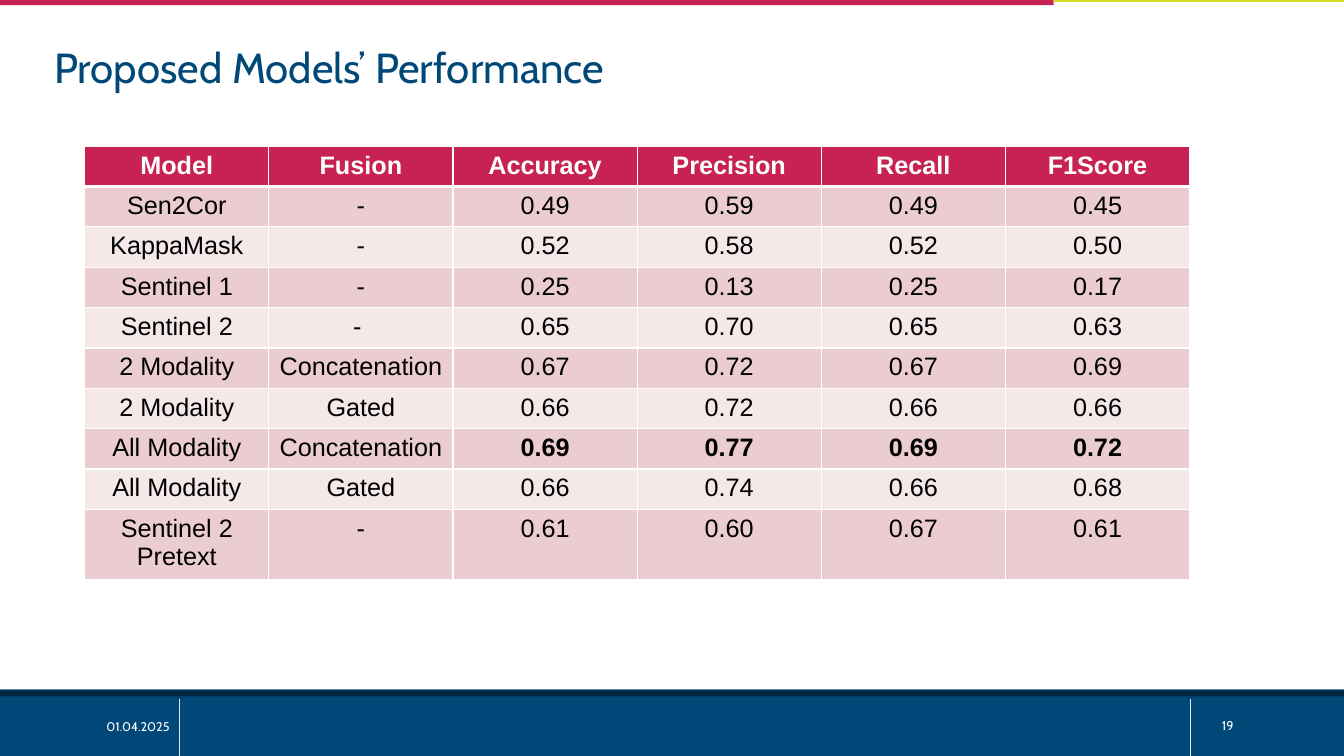
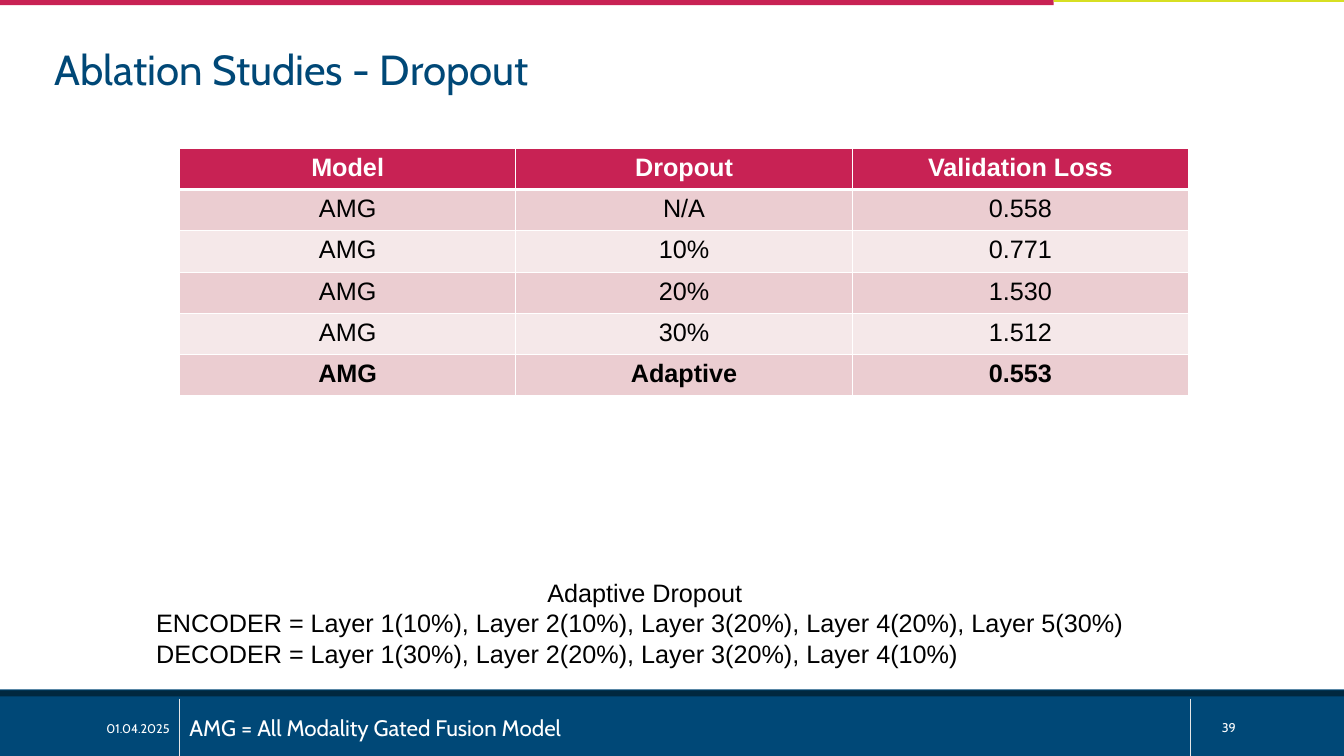
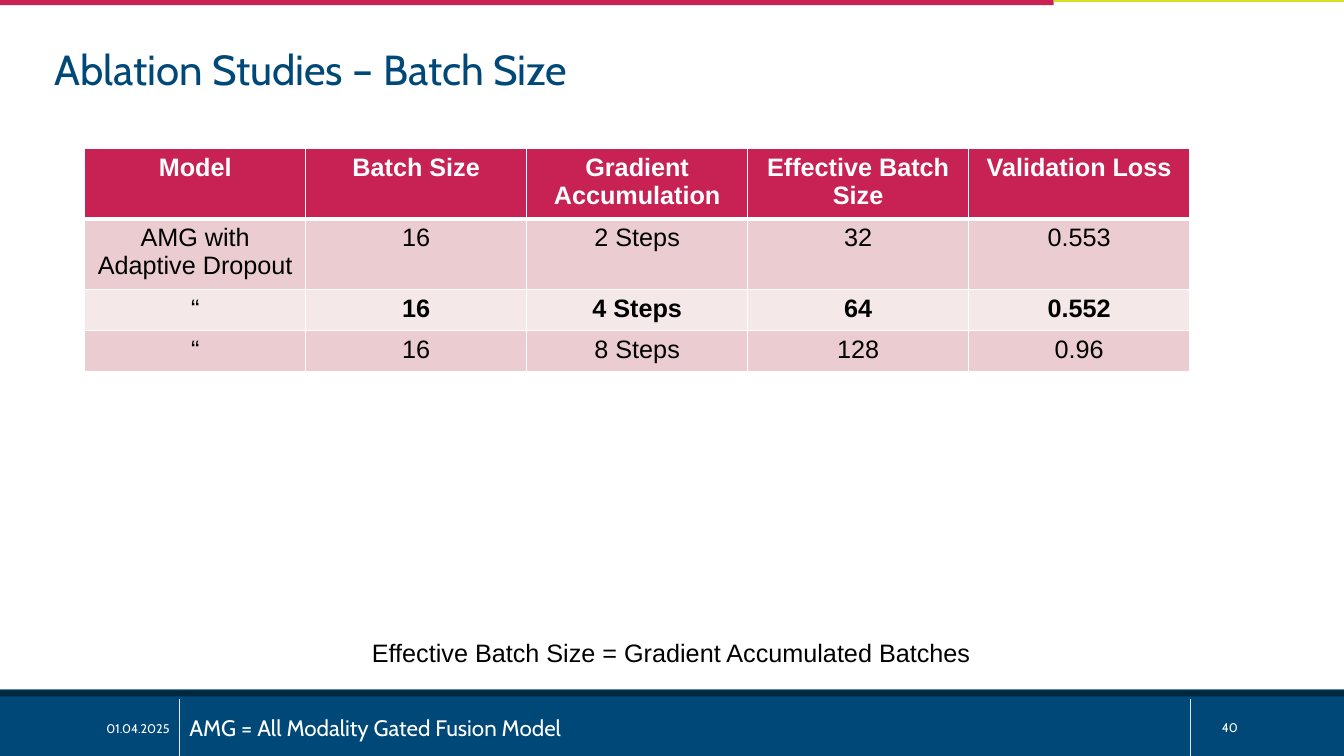
from dataclasses import dataclass

from lxml import etree
from pptx import Presentation
from pptx.dml.color import RGBColor
from pptx.enum import shapes, text
from pptx.oxml import ns
from pptx.util import Inches, Pt


@dataclass(frozen=True)
class Theme:
    blue: str = "004877"
    navy: str = "01283F"
    red: str = "C82254"
    lime: str = "D7DF23"
    rule: str = "E6E6E6"
    white: str = "FFFFFF"
    black: str = "000000"
    stripes: tuple = ("F5E8E9", "EBCDD1")
    title_font: str = "Cabin"
    body_font: str = "Arial"
    title_size: int = 30
    body_size: int = 18
    note_size: int = 16
    footer_size: int = 9


theme = Theme()
LEFT, CENTER, RIGHT = text.PP_ALIGN.LEFT, text.PP_ALIGN.CENTER, text.PP_ALIGN.RIGHT
TOP, MIDDLE = text.MSO_ANCHOR.TOP, text.MSO_ANCHOR.MIDDLE


def write(frame, words, size=theme.body_size, font=theme.body_font,
          color=theme.black, bold=False, align=LEFT):
    """Fill a text frame, one paragraph per line of words."""
    frame.word_wrap = True
    frame.text = words
    for paragraph in frame.paragraphs:
        paragraph.alignment = align
        paragraph.font.size = Pt(size)
        paragraph.font.name = font
        paragraph.font.bold = bold
        paragraph.font.color.rgb = RGBColor.from_string(color)


def add_text(slide, box, words, anchor=TOP, **text_format):
    """Place a text box at (left, top, width, height) in inches."""
    frame = slide.shapes.add_textbox(*map(Inches, box)).text_frame
    frame.vertical_anchor = anchor
    write(frame, words, **text_format)
    return frame


# Shared bands: left, top, width, height, colour
bands = [
    (-0.01, 6.84, 13.35, 0.66, theme.blue),
    (0, 6.85, 13.35, 0.06, theme.navy),
    (0, 0, 10.45, 0.05, theme.red),
    (10.45, 0, 2.89, 0.02, theme.lime),
]
footer_rules = (1.78, 11.81)
abbreviation = "AMG = All Modality Gated Fusion Model"

# Slide content; bold_from is the row and first column of the best result
pages = [
    dict(
        title="Proposed Models’ Performance", title_top=0.36, number="19",
        footer_top=7, note=None,
        table_box=(0.84, 1.45, 10.96), row_heights=[0.4] * 9 + [0.69],
        bold_from=(7, 2),
        rows=[
            ("Model", "Fusion", "Accuracy", "Precision", "Recall", "F1Score"),
            ("Sen2Cor", "-", "0.49", "0.59", "0.49", "0.45"),
            ("KappaMask", "-", "0.52", "0.58", "0.52", "0.50"),
            ("Sentinel 1", "-", "0.25", "0.13", "0.25", "0.17"),
            ("Sentinel 2", "- ", "0.65", "0.70", "0.65", "0.63"),
            ("2 Modality", "Concatenation", "0.67", "0.72", "0.67", "0.69"),
            ("2 Modality", "Gated", "0.66", "0.72", "0.66", "0.66"),
            ("All Modality", "Concatenation", "0.69", "0.77", "0.69", "0.72"),
            ("All Modality", "Gated", "0.66", "0.74", "0.66", "0.68"),
            ("Sentinel 2 Pretext", "-", "0.61", "0.60", "0.67", "0.61"),
        ],
        caption=None,
    ),
    dict(
        title="Ablation Studies - Dropout", title_top=0.38, number="39",
        footer_top=7.02, note=abbreviation,
        table_box=(1.78, 1.47, 10.01), row_heights=[0.41] * 6,
        bold_from=(5, 0),
        rows=[
            ("Model", "Dropout", "Validation Loss"),
            ("AMG", "N/A", "0.558"),
            ("AMG", "10%", "0.771"),
            ("AMG", "20%", "1.530"),
            ("AMG", "30%", "1.512"),
            ("AMG", "Adaptive", "0.553"),
        ],
        caption=((1.45, 5.68, 9.89, 1.01),
                 "Adaptive Dropout\n"
                 "ENCODER = Layer 1(10%), Layer 2(10%), Layer 3(20%), "
                 "Layer 4(20%), Layer 5(30%)\n"
                 "DECODER = Layer 1(30%), Layer 2(20%), Layer 3(20%), Layer 4(10%)"),
    ),
    dict(
        title="Ablation Studies – Batch Size", title_top=0.38, number="40",
        footer_top=7.02, note=abbreviation,
        table_box=(0.84, 1.47, 10.96), row_heights=[0.65, 0.66, 0.41, 0.41],
        bold_from=(2, 1),
        rows=[
            ("Model", "Batch Size", "Gradient Accumulation",
             "Effective Batch Size", "Validation Loss"),
            ("AMG with Adaptive Dropout", "16", "2 Steps", "32", "0.553"),
            ("“", "16", "4 Steps", "64", "0.552"),
            ("“", "16", "8 Steps", "128", "0.96"),
        ],
        caption=((3.59, 6.27, 6.19, 0.4),
                 "Effective Batch Size = Gradient Accumulated Batches"),
    ),
]

presentation = Presentation()
presentation.slide_width = Inches(13.33)
presentation.slide_height = Inches(7.5)

for page in pages:
    slide = presentation.slides.add_slide(presentation.slide_layouts[6])

    # Bands and footer rules
    for *box, color in bands:
        band = slide.shapes.add_shape(shapes.MSO_SHAPE.RECTANGLE, *map(Inches, box))
        band.shadow.inherit = False
        band.fill.solid()
        band.fill.fore_color.rgb = RGBColor.from_string(color)
        band.line.fill.background()
    for x in footer_rules:
        rule = slide.shapes.add_connector(
            shapes.MSO_CONNECTOR.STRAIGHT, Inches(x), Inches(6.93), Inches(x), Inches(7.5))
        rule.line.color.rgb = RGBColor.from_string(theme.rule)
        rule.line.width = Pt(0.5)
        etree.SubElement(rule._element.spPr, ns.qn("a:effectLst"))

    # Title
    add_text(slide, (0.44, page["title_top"], 10.64, 0.75), page["title"],
             size=theme.title_size, font=theme.title_font, color=theme.blue)

    # Table
    rows = page["rows"]
    left, top, width = page["table_box"]
    table = slide.shapes.add_table(
        len(rows), len(rows[0]), Inches(left), Inches(top),
        Inches(width), Inches(sum(page["row_heights"]))).table
    for column in table.columns:
        column.width = Inches(width / len(rows[0]))
    bold_row, bold_column = page["bold_from"]
    for r, (row, height) in enumerate(zip(rows, page["row_heights"])):
        table.rows[r].height = Inches(height)
        header = r == 0
        for c, words in enumerate(row):
            cell = table.cell(r, c)
            write(cell.text_frame, words, align=CENTER,
                  color=theme.white if header else theme.black,
                  bold=header or (r == bold_row and c >= bold_column))
            # The line under the header is thicker
            properties = cell._tc.get_or_add_tcPr()
            for side in "LRTB":
                thick = (r, side) in ((0, "B"), (1, "T"))
                border = etree.SubElement(properties, ns.qn(f"a:ln{side}"),
                                          w=str(Pt(3 if thick else 1)))
                fill = etree.SubElement(border, ns.qn("a:solidFill"))
                etree.SubElement(fill, ns.qn("a:srgbClr"), val=theme.white)
            cell.fill.solid()
            cell.fill.fore_color.rgb = RGBColor.from_string(
                theme.red if header else theme.stripes[r % 2])

    # Footer
    footer_top = page["footer_top"]
    footer = dict(anchor=MIDDLE, font=theme.title_font, color=theme.white)
    if page["note"]:
        add_text(slide, (1.78, footer_top, 9.83, 0.4), page["note"],
                 size=theme.note_size, **footer)
    add_text(slide, (12.02, footer_top, 1.31, 0.4), page["number"],
             size=theme.footer_size, **footer)
    add_text(slide, (0.44, footer_top + 0.01, 1.34, 0.39), "01.04.2025",
             size=theme.footer_size, align=RIGHT, **footer)

    # Caption, whose heading is centred when it has several lines
    if page["caption"]:
        box, words = page["caption"]
        caption = add_text(slide, box, words)
        if len(caption.paragraphs) > 1:
            caption.paragraphs[0].alignment = CENTER

presentation.save("out.pptx")
